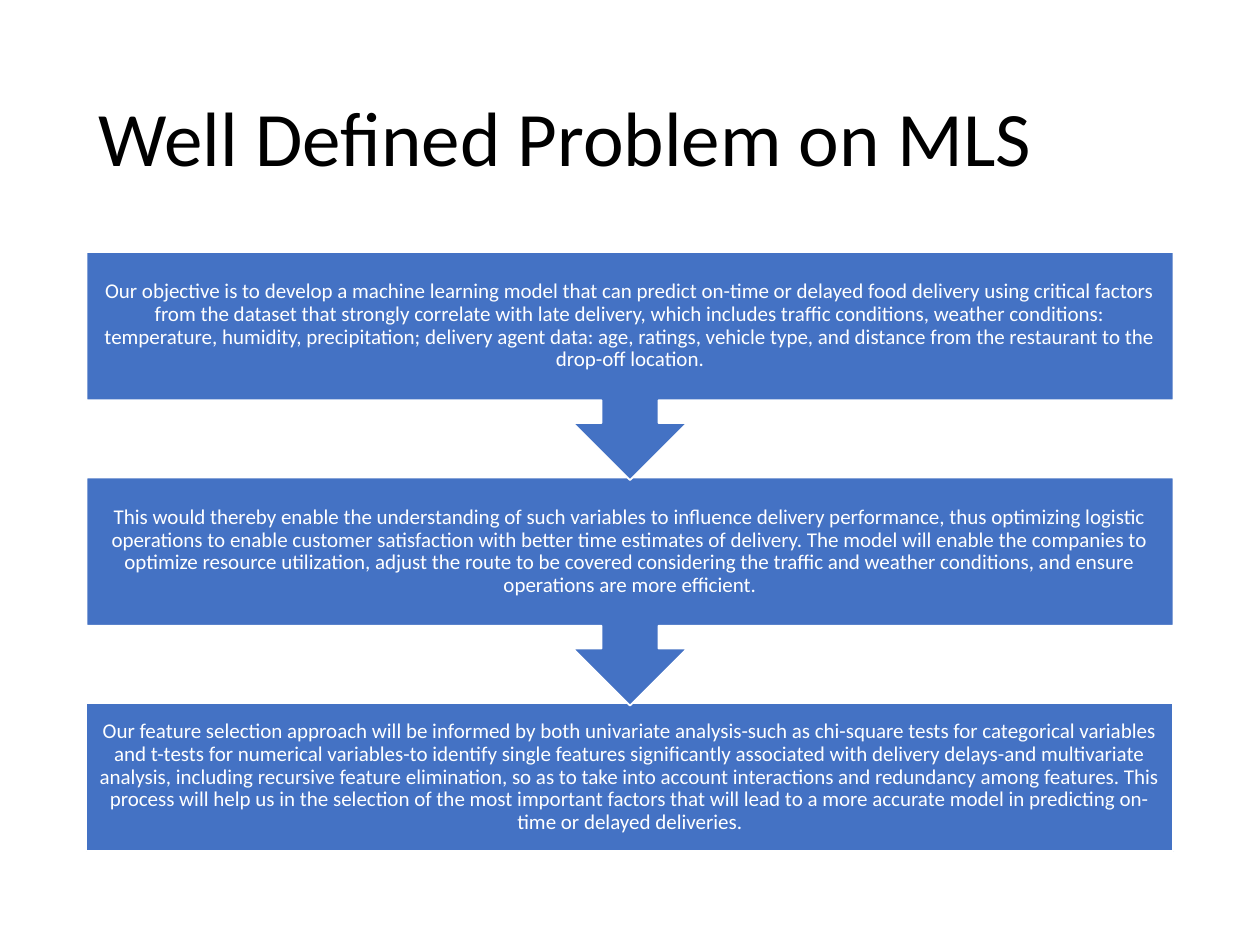
from pptx import Presentation
from pptx import util as u
from pptx.dml.color import RGBColor
from pptx.enum import shapes, text

COLORS = {"black": "000000", "white": "FFFFFF", "blue": "4472C4"}

# Shared column and the vertical rhythm of the flow
LEFT, WIDTH = 49.5, 621
FLOW_TOP, STEP = 144, 128.9
CALLOUT_HEIGHT, BODY_HEIGHT = 130.3, 84.7

STEPS = [
    "Our objective is to develop a machine learning model that can predict on-time or "
    "delayed food delivery using critical factors from the dataset that strongly correlate "
    "with late delivery, which includes traffic conditions, weather conditions: temperature, "
    "humidity, precipitation; delivery agent data: age, ratings, vehicle type, and distance "
    "from the restaurant to the drop-off location.",
    "This would thereby enable the understanding of such variables to influence delivery "
    "performance, thus optimizing logistic operations to enable customer satisfaction with "
    "better time estimates of delivery. The model will enable the companies to optimize "
    "resource utilization, adjust the route to be covered considering the traffic and weather "
    "conditions, and ensure operations are more efficient.",
    "Our feature selection approach will be informed by both univariate analysis-such as "
    "chi-square tests for categorical variables and t-tests for numerical variables-to "
    "identify single features significantly associated with delivery delays-and multivariate "
    "analysis, including recursive feature elimination, so as to take into account "
    "interactions and redundancy among features. This process will help us in the selection "
    "of the most important factors that will lead to a more accurate model in predicting "
    "on-time or delayed deliveries.",
]


class SlideBuilder:
    """Holds the style and the current slide."""

    font = "Calibri"
    line_spacing = 0.9

    def __init__(self, slide):
        self.slide = slide

    def color(self, name):
        return RGBColor.from_string(COLORS[name])

    def panel(self, kind, top, height, rotation=0):
        shape = self.slide.shapes.add_shape(
            kind, u.Pt(LEFT), u.Pt(top), u.Pt(WIDTH), u.Pt(height))
        shape.rotation = rotation
        shape.shadow.inherit = False
        shape.fill.solid()
        shape.fill.fore_color.rgb = self.color("blue")
        shape.line.color.rgb = self.color("white")
        shape.line.width = u.Pt(1)

    def text(self, words, top, height, size, color, align, inset):
        box = self.slide.shapes.add_textbox(
            u.Pt(LEFT), u.Pt(top), u.Pt(WIDTH), u.Pt(height))
        frame = box.text_frame
        frame.word_wrap = True
        frame.vertical_anchor = text.MSO_ANCHOR.MIDDLE
        frame.margin_left = frame.margin_right = u.Pt(inset)
        frame.margin_top = frame.margin_bottom = u.Pt(min(inset, 6.5))
        paragraph = frame.paragraphs[0]
        paragraph.alignment = align
        paragraph.line_spacing = self.line_spacing
        run = paragraph.add_run()
        run.text = words
        run.font.name = self.font
        run.font.size = u.Pt(size)
        run.font.color.rgb = self.color(color)


def main():
    presentation = Presentation()
    presentation.slide_width, presentation.slide_height = u.Pt(720), u.Pt(540)
    builder = SlideBuilder(presentation.slides.add_slide(presentation.slide_layouts[6]))

    # Title
    builder.text("Well Defined Problem on MLS", 28.8, 104.4, 44, "black",
                 text.PP_ALIGN.LEFT, 7.2)

    # Flow, from the bottom up so each arrow tip lies over the next panel
    last = len(STEPS) - 1
    for index in range(last, -1, -1):
        top = FLOW_TOP + index * STEP
        if index == last:
            builder.panel(shapes.MSO_SHAPE.RECTANGLE, top, BODY_HEIGHT)
        else:
            builder.panel(shapes.MSO_SHAPE.UP_ARROW_CALLOUT, top, CALLOUT_HEIGHT, 180)
        builder.text(STEPS[index], top, BODY_HEIGHT, 12, "white",
                     text.PP_ALIGN.CENTER, 6.5)

    presentation.save("out.pptx")


if __name__ == "__main__":
    main()
